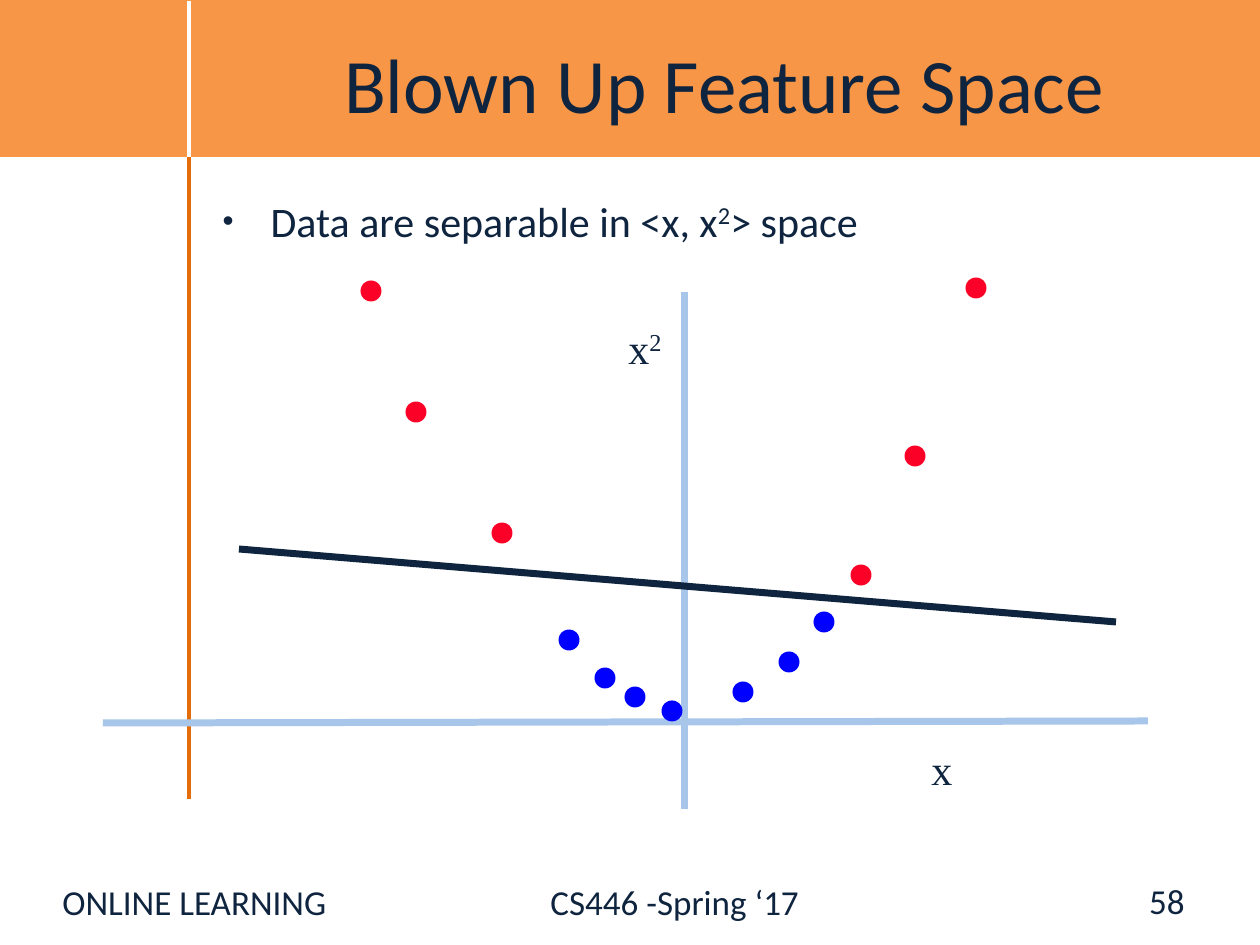
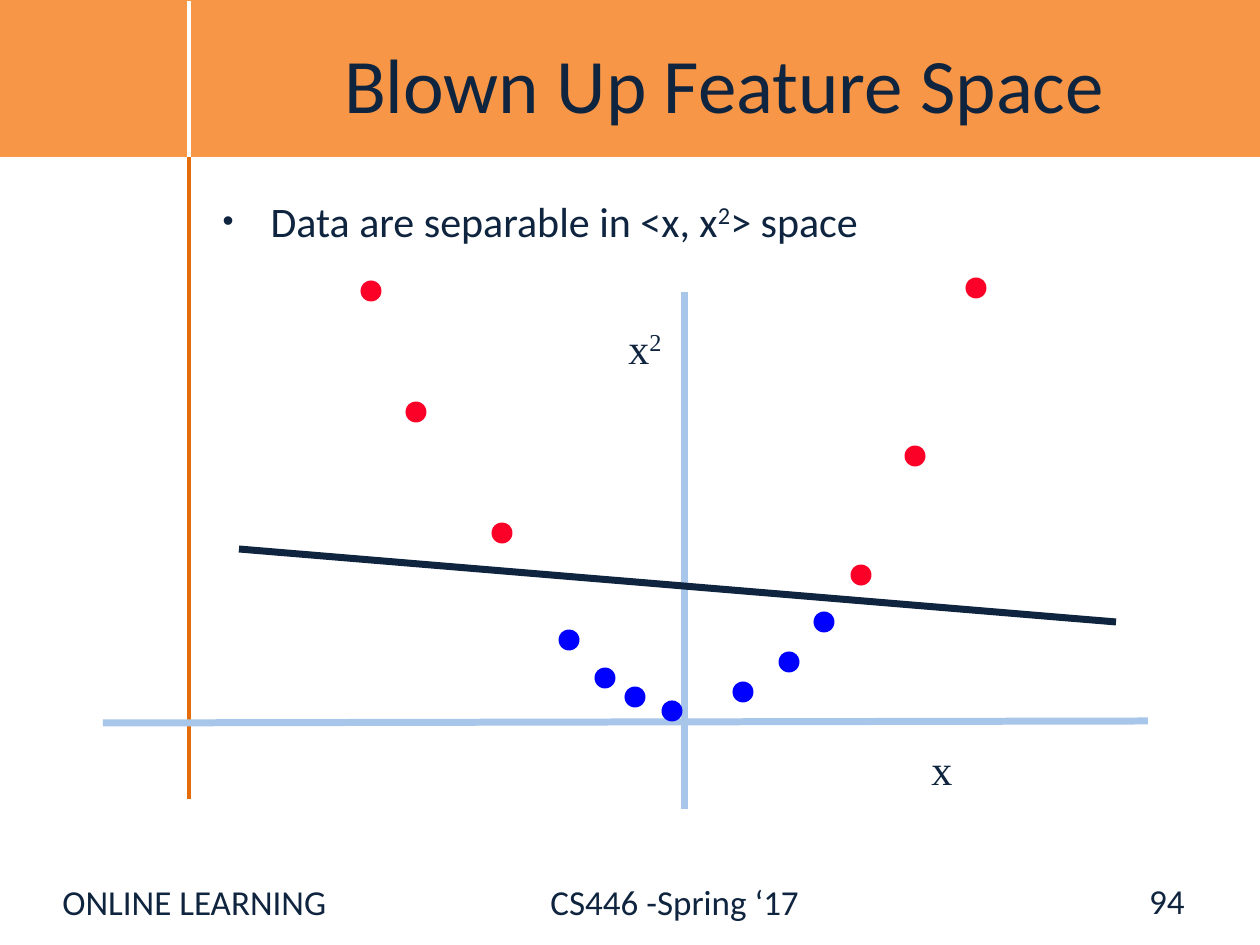
from lxml.etree import SubElement
from pptx import Presentation
from pptx.dml.color import RGBColor
from pptx.enum.shapes import MSO_CONNECTOR as CONN, MSO_SHAPE as SHAPE
from pptx.enum.text import MSO_ANCHOR as ANCHOR, MSO_AUTO_SIZE as FIT, PP_ALIGN as ALIGN
from pptx.oxml.ns import qn
from pptx.util import Emu, Pt

SCALE = 914400 / 126
WIDTH, HEIGHT = 1260, 945
COLORS = {
    "band": "F79646",
    "rule": "E46C0A",
    "white": "FFFFFF",
    "ink": "0F243E",
    "axis": "A8C5EA",
    "positive": "0000FF",
    "negative": "FC0128",
}
TITLE = {"name": "Calibri", "size": Pt(44)}
BODY = {"name": "Calibri", "size": Pt(24)}
FOOTER = {"name": "Calibri", "size": Pt(20)}
LABEL = {"name": "Times New Roman", "size": Pt(24)}

BAND_BOX = (0, 0, WIDTH, 157)
TITLE_BOX = (189, 4, 1071, 157)
BODY_BOX = (210, 189, 987, 624)
PLOT_BOX = (100, 280, 1050, 530)
FOOTER_BOX = (50, 874, 1210, 71)
RULE_X, RULE_TOP, RULE_BOTTOM = 189, 1, 799
DOT = 21
DOTS = {
    "negative": [(271, 11), (316, 132), (402, 253), (761, 295), (815, 176), (876, 8)],
    "positive": [(469, 360), (505, 398), (535, 417), (572, 431),
                 (643, 412), (689, 382), (724, 342)],
}


def px(n):
    return Emu(round(n * SCALE))


def rgb(name):
    return RGBColor.from_string(COLORS[name])


def place(sp, box):
    for key, n in zip(("left", "top", "width", "height"), box):
        setattr(sp, key, px(n))


def write(tf, parts, fmt, align=ALIGN.LEFT):
    p = tf.paragraphs[0]
    p.alignment = align
    for text, raised in parts:
        r = p.add_run()
        r.text = text
        for key, value in fmt.items():
            setattr(r.font, key, value)
        r.font.color.rgb = rgb("ink")
        if raised:
            r._r.get_or_add_rPr().set("baseline", "30000")
    return p


def add_text(s, box, parts, fmt, align=ALIGN.LEFT, **frame):
    tf = s.shapes.add_textbox(*map(px, box)).text_frame
    for key, value in {"word_wrap": True, **frame}.items():
        setattr(tf, key, value)
    return write(tf, parts, fmt, align)


def add_shape(s, kind, box, color):
    sp = s.shapes.add_shape(kind, *map(px, box))
    sp.shadow.inherit = False
    sp.fill.solid()
    sp.fill.fore_color.rgb = rgb(color)
    sp.line.fill.background()


def add_line(s, start, end, color, width):
    line = s.shapes.add_connector(CONN.STRAIGHT, *map(px, (*start, *end)))
    line.line.color.rgb = rgb(color)
    line.line.width = Pt(width)
    SubElement(line.element.spPr, qn("a:effectLst"))


def add_frame(s, box):
    x, y, w, h = box
    add_shape(s, SHAPE.RECTANGLE, box, "band")
    add_line(s, (RULE_X, y + h), (RULE_X, RULE_BOTTOM), "rule", 2.5)
    add_line(s, (RULE_X, RULE_TOP), (RULE_X, y + h), "white", 2.5)


def add_title(s, box, text):
    sp = s.shapes.title
    s.shapes.element.append(sp.element)
    place(sp, box)
    sp.text_frame.vertical_anchor = ANCHOR.MIDDLE
    write(sp.text_frame, [(text, False)], TITLE, ALIGN.CENTER)


def add_body(s, box, parts):
    sp = s.placeholders[1]
    s.shapes.element.append(sp.element)
    place(sp, box)
    pPr = write(sp.text_frame, parts, BODY)._p.get_or_add_pPr()
    pPr.set("marL", str(px(48)))
    pPr.set("indent", str(-px(48)))
    SubElement(pPr, qn("a:buSzPct"), val="75000")
    SubElement(pPr, qn("a:buChar"), char="•")


def add_plot(s, box):
    x, y = box[:2]

    def at(dx, dy):
        return x + dx, y + dy

    def label(dx, dy, w, parts):
        add_text(s, (*at(dx, dy), w, 63), parts, LABEL,
                 word_wrap=False, auto_size=FIT.SHAPE_TO_FIT_TEXT)

    add_line(s, at(3, 443), at(1048, 441), "axis", 4)
    add_line(s, at(585, 529), at(585, 12), "axis", 4)
    for color, centers in DOTS.items():
        for cx, cy in centers:
            add_shape(s, SHAPE.OVAL, (*at(cx - DOT / 2, cy - DOT / 2), DOT, DOT), color)
    label(819, 457, 47, [("x", False)])
    label(516, 36, 62, [("x", False), ("2", True)])
    add_line(s, at(139, 269), at(1016, 342), "ink", 4)


def add_footer(s, box, number):
    x, y = box[:2]
    p = add_text(s, box, [("ONLINE LEARNING\tCS446 -Spring ‘17", False)], FOOTER)
    tabs = SubElement(p._p.get_or_add_pPr(), qn("a:tabLst"))
    SubElement(tabs, qn("a:tab"), pos=str(px(488)), algn="l")
    add_text(s, (x + 853, y + 2, 294, 50), [(str(number), False)], FOOTER,
             ALIGN.RIGHT, vertical_anchor=ANCHOR.MIDDLE)


def add_feature_slide(prs, number):
    s = prs.slides.add_slide(prs.slide_layouts[1])
    add_frame(s, BAND_BOX)
    add_title(s, TITLE_BOX, "Blown Up Feature Space")
    add_body(s, BODY_BOX, [("Data are separable in <x, x", False), ("2", True),
                           ("> space", False)])
    add_plot(s, PLOT_BOX)
    add_footer(s, FOOTER_BOX, number)


def main():
    prs = Presentation()
    prs.slide_width, prs.slide_height = px(WIDTH), px(HEIGHT)
    for number in (58, 94):
        add_feature_slide(prs, number)
    prs.save("out.pptx")


if __name__ == "__main__":
    main()
